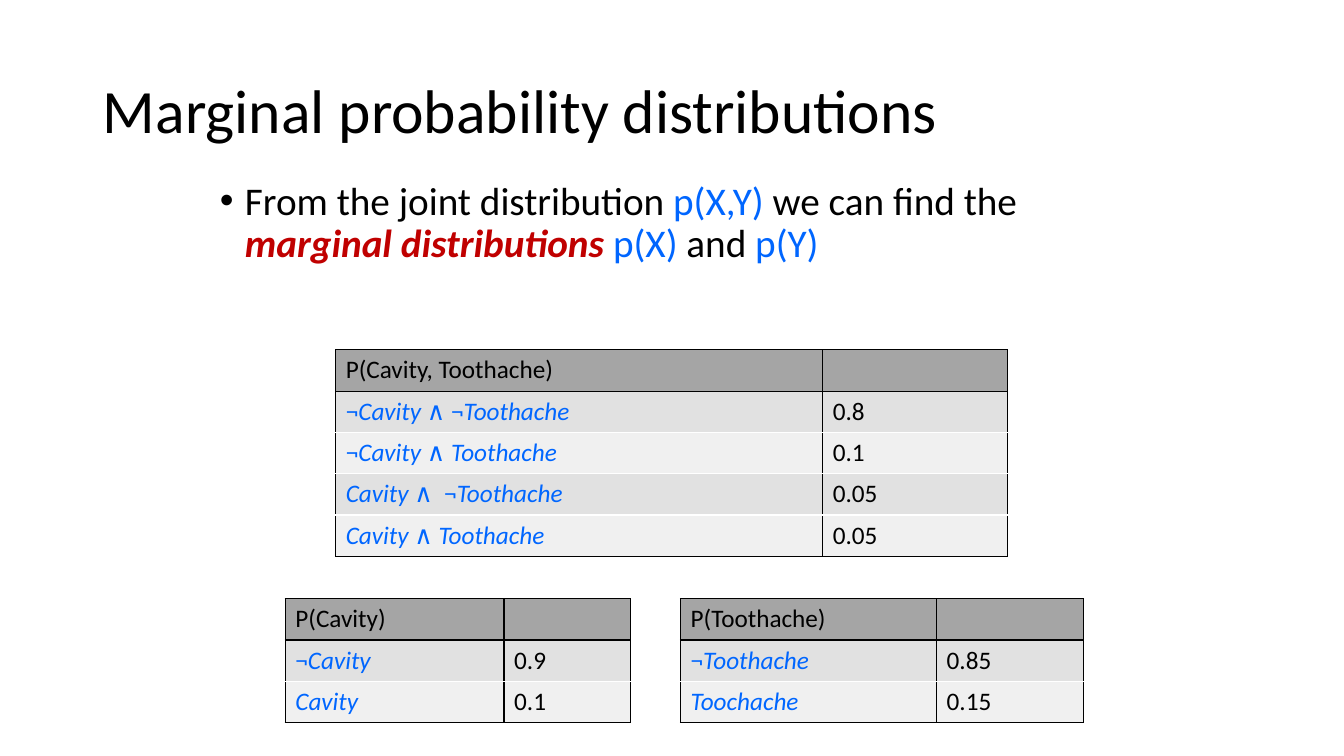
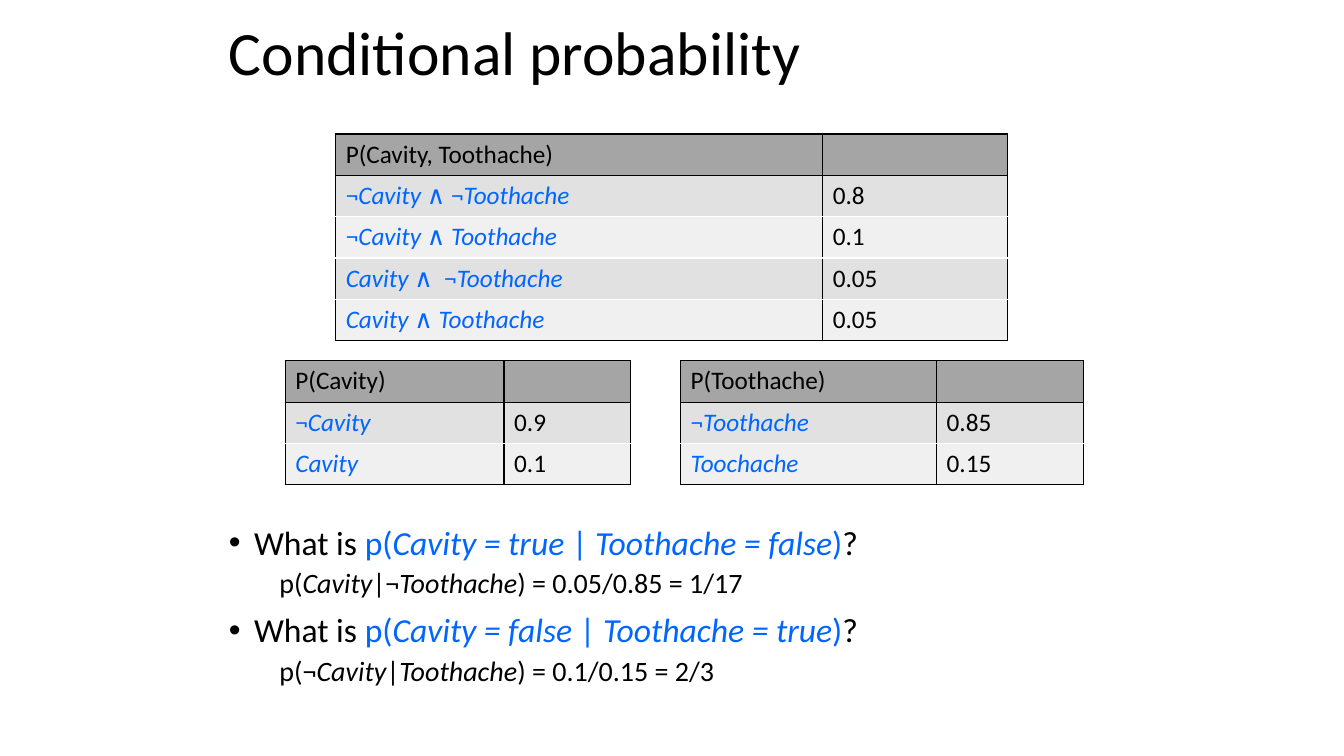
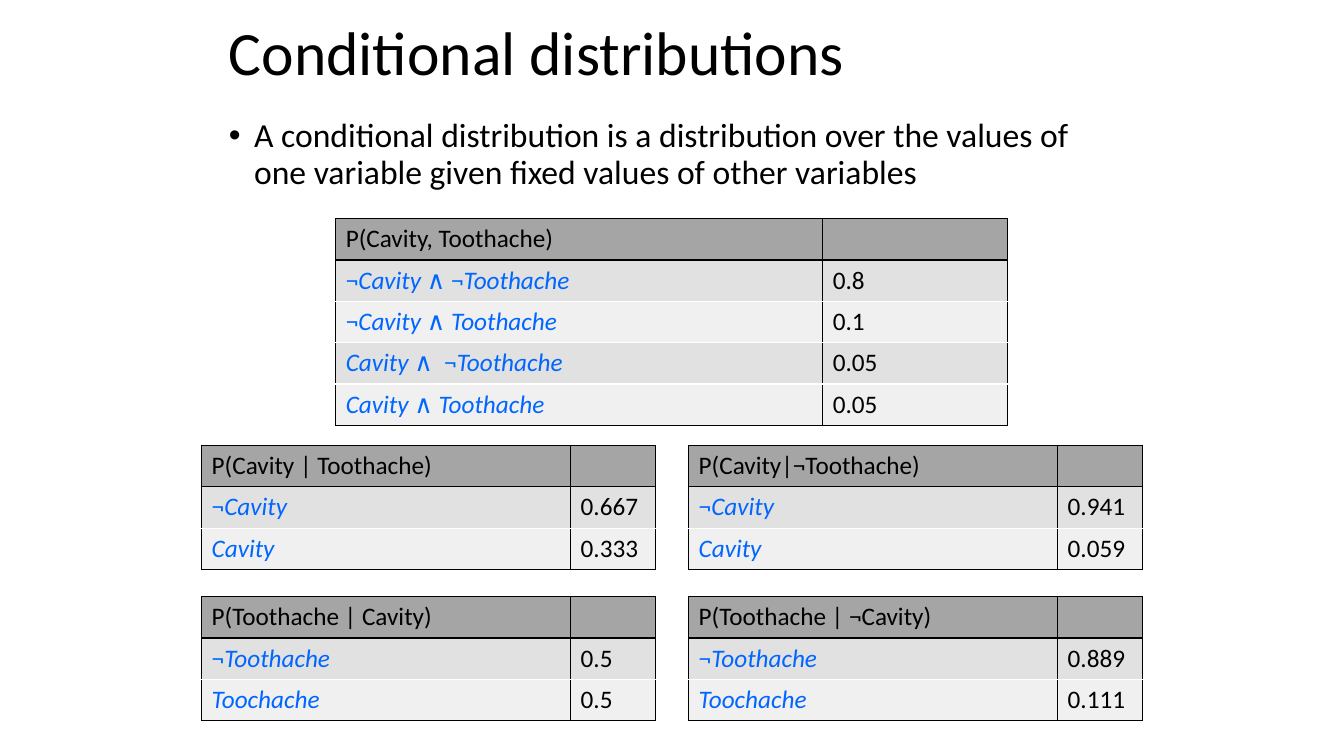
from dataclasses import dataclass
from pptx import Presentation
from pptx.dml.color import RGBColor as RGB
from pptx.enum.text import MSO_ANCHOR as Anchor, MSO_AUTO_SIZE as Fit, PP_ALIGN as Align
from pptx.oxml.xmlchemy import OxmlElement as Node
from pptx.util import Inches, Pt


@dataclass(frozen=True)
class Theme:
    font: str = "Calibri"
    black: str = "000000"
    white: str = "FFFFFF"
    blue: str = "0066FF"
    red: str = "C00000"
    head: str = "A5A5A5"
    bands: tuple = ("E1E1E1", "F0F0F0")
    title: int = 44
    lead: int = 28
    body: int = 24
    sub: int = 20
    cell: int = 18
    rule: int = 1
    row: float = 0.41


T = Theme()

# Content: * toggles italic, _ toggles blue, # toggles bold red
JOINT = ("P(Cavity, Toothache)", [
    ("_¬*Cavity *∧ ¬*Toothache*_", "0.8"),
    ("_¬*Cavity *∧* Toothache*_", "0.1"),
    ("_*Cavity *∧  ¬*Toothache*_", "0.05"),
    ("_*Cavity *∧* Toothache*_", "0.05"),
])
CAVITY = ("_¬*Cavity*_", "_*Cavity*_")
ACHE = ("_¬*Toothache*_", "_*Toochache*_")


def pair(head, names, *odds):
    return head, list(zip(names, odds))


MARGINS = [
    (pair("P(Cavity)", CAVITY, "0.9", "0.1"), 2.83, (2.17, 1.25)),
    (pair("P(Toothache)", ACHE, "0.85", "0.15"), 6.75, (2.54, 1.46)),
]
GIVEN = [
    pair("P(Cavity | Toothache)", CAVITY, "0.667", "0.333"),
    pair("P(Cavity|¬Toothache)", CAVITY, "0.941", "0.059"),
    pair("P(Toothache | Cavity)", ACHE, "0.5", "0.5"),
    pair("P(Toothache | ¬Cavity)", ACHE, "0.889", "0.111"),
]
JOINT_LEFT, JOINT_COLS = 3.33, (4.83, 1.83)
GIVEN_COLS, GIVEN_AT, GIVEN_STEP = (3.66, 0.84), (2, 4.42), (4.83, 1.5)
TOP_BOX = (2.17, 0.08, 9, 0.95)


def margins(top):
    return [(data, left, top, cols) for data, left, cols in MARGINS]


def grid():
    (left, top), (dx, dy) = GIVEN_AT, GIVEN_STEP
    return [(data, left + i % 2 * dx, top + i // 2 * dy, GIVEN_COLS)
            for i, data in enumerate(GIVEN)]


# Body items are (level, text); joint is the top of the joint table
SLIDES = [
    dict(title="Marginal probability distributions", place=(0.92, 0.4, 11.5, 1.45),
         box=(2.08, 1.75, 9.17, 4.95), size=T.lead, joint=3.47, tables=margins(5.94),
         body=[(0, "From the joint distribution _p(X,Y)_ we can find the "
                   "#*marginal distributions *#_p(X) _and_ p(Y)_")]),
    dict(title="Conditional probability", place=TOP_BOX,
         box=(2.17, 5.17, 10.06, 2.1), size=T.body, joint=1.33, tables=margins(3.58),
         body=[(0, "What is _p(*Cavity = true* | *Toothache = false*)_?"),
               (1, "p(*Cavity*|¬*Toothache*) = 0.05/0.85 = 1/17"),
               (0, "What is _p(*Cavity = false* | *Toothache = true*)_?"),
               (1, "p(¬*Cavity*|*Toothache*) = 0.1/0.15 = 2/3")]),
    dict(title="Conditional distributions", place=TOP_BOX,
         box=(2.17, 1.13, 9, 1.53), size=T.body, joint=2.17, tables=grid(),
         body=[(0, "A conditional distribution is a distribution over the values of "
                   "one variable given fixed values of other variables")]),
]


# Text
def style(run, size, color=T.black, bold=False, ital=False):
    font = run.font
    font.name, font.size, font.bold, font.italic = T.font, Pt(size), bold, ital
    font.color.rgb = RGB.from_string(color)


def write(para, text, size):
    on, part = {"*": False, "_": False, "#": False}, ""

    def flush():
        if part:
            run = para.add_run()
            run.text = part
            color = T.red if on["#"] else T.blue if on["_"] else T.black
            style(run, size, color, on["#"], on["*"])

    for char in text:
        if char in on:
            flush()
            on[char], part = not on[char], ""
        else:
            part += char
    flush()


def place(shape, box, anchor):
    shape.left, shape.top, shape.width, shape.height = map(Inches, box)
    frame = shape.text_frame
    frame.word_wrap, frame.auto_size, frame.vertical_anchor = True, Fit.NONE, anchor
    return frame


def add_title(slide, text, box):
    frame = place(slide.shapes.title, box, Anchor.MIDDLE)
    frame.text = text
    para = frame.paragraphs[0]
    para.alignment, para.line_spacing = Align.LEFT, 0.9
    style(para.runs[0], T.title)


def add_body(slide, items, box, size):
    frame = place(slide.placeholders[1], box, Anchor.TOP)
    for i, (level, text) in enumerate(items):
        para = frame.add_paragraph() if i else frame.paragraphs[0]
        para.level, para.line_spacing = level, 0.9
        para.space_before = Pt(5 if level else 10)
        props = para._p.get_or_add_pPr()
        props.set("marL", str(Inches(0.25 + 0.5 * level)))
        props.set("indent", str(Inches(-0.25)))
        mark = Node("a:buNone" if level else "a:buChar")
        if not level:
            mark.set("char", "•")
        props.append(mark)
        write(para, text, T.sub if level else size)


# Tables
def border(cell, side, color):
    line, fill, tint = Node(f"a:ln{side}"), Node("a:solidFill"), Node("a:srgbClr")
    line.set("w", str(Pt(T.rule)))
    tint.set("val", color)
    fill.append(tint)
    line.append(fill)
    cell._tc.get_or_add_tcPr().append(line)


def add_table(slide, data, left, top, cols):
    head, body = data
    rows = [(head, "")] + body
    last = len(rows) - 1
    table = slide.shapes.add_table(
        len(rows), len(cols), Inches(left), Inches(top),
        Inches(sum(cols)), Inches(T.row * len(rows))).table
    table.first_row = table.horz_banding = False
    for col, width in zip(table.columns, cols):
        col.width = Inches(width)
    for r, row in enumerate(rows):
        above = T.black if r <= 1 else T.white
        below = T.black if r in (0, last) else T.white
        for c, text in enumerate(row):
            cell = table.cell(r, c)
            for side, color in zip("LRTB", (T.black, T.black, above, below)):
                border(cell, side, color)
            cell.fill.solid()
            cell.fill.fore_color.rgb = RGB.from_string(T.bands[(r - 1) % 2] if r else T.head)
            write(cell.text_frame.paragraphs[0], text, T.cell)


def main():
    deck = Presentation()
    deck.slide_width, deck.slide_height = Inches(13.33), Inches(7.5)
    for page in SLIDES:
        slide = deck.slides.add_slide(deck.slide_layouts[1])
        add_title(slide, page["title"], page["place"])
        add_body(slide, page["body"], page["box"], page["size"])
        add_table(slide, JOINT, JOINT_LEFT, page["joint"], JOINT_COLS)
        for table in page["tables"]:
            add_table(slide, *table)
    deck.save("out.pptx")


if __name__ == "__main__":
    main()
